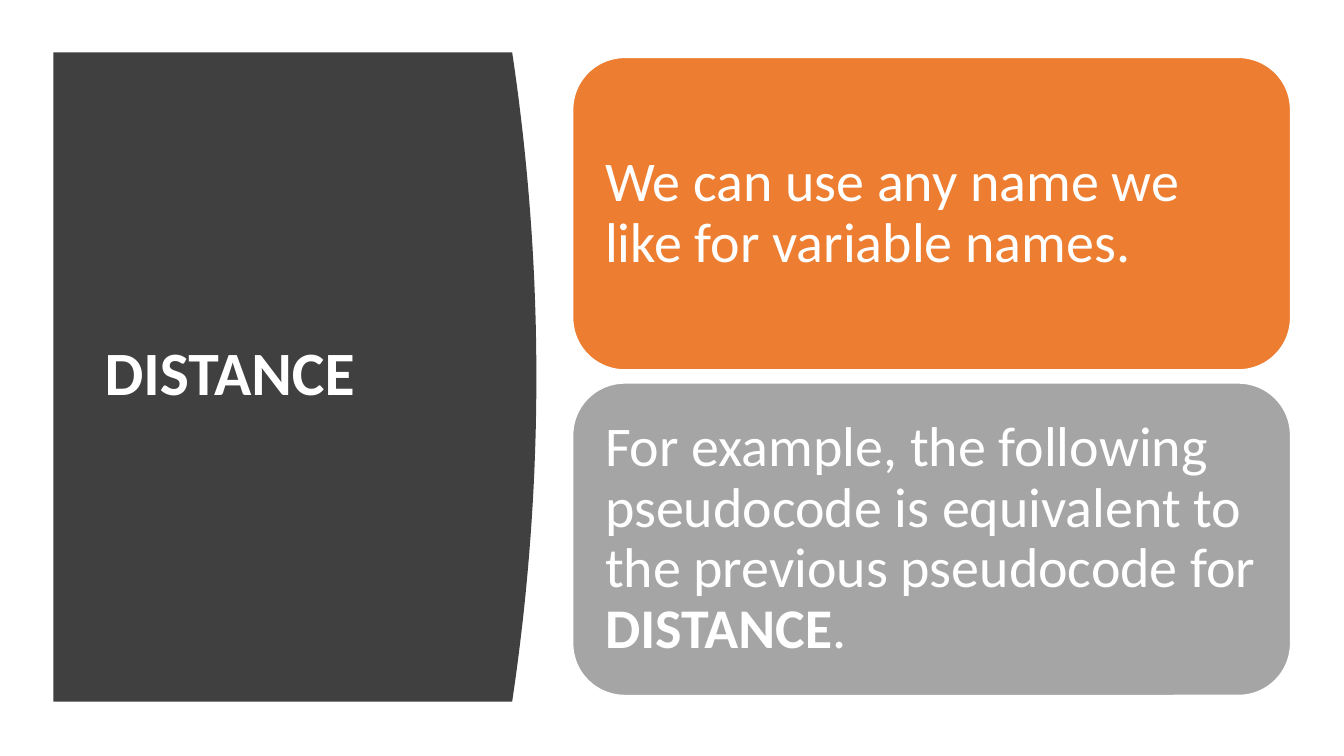
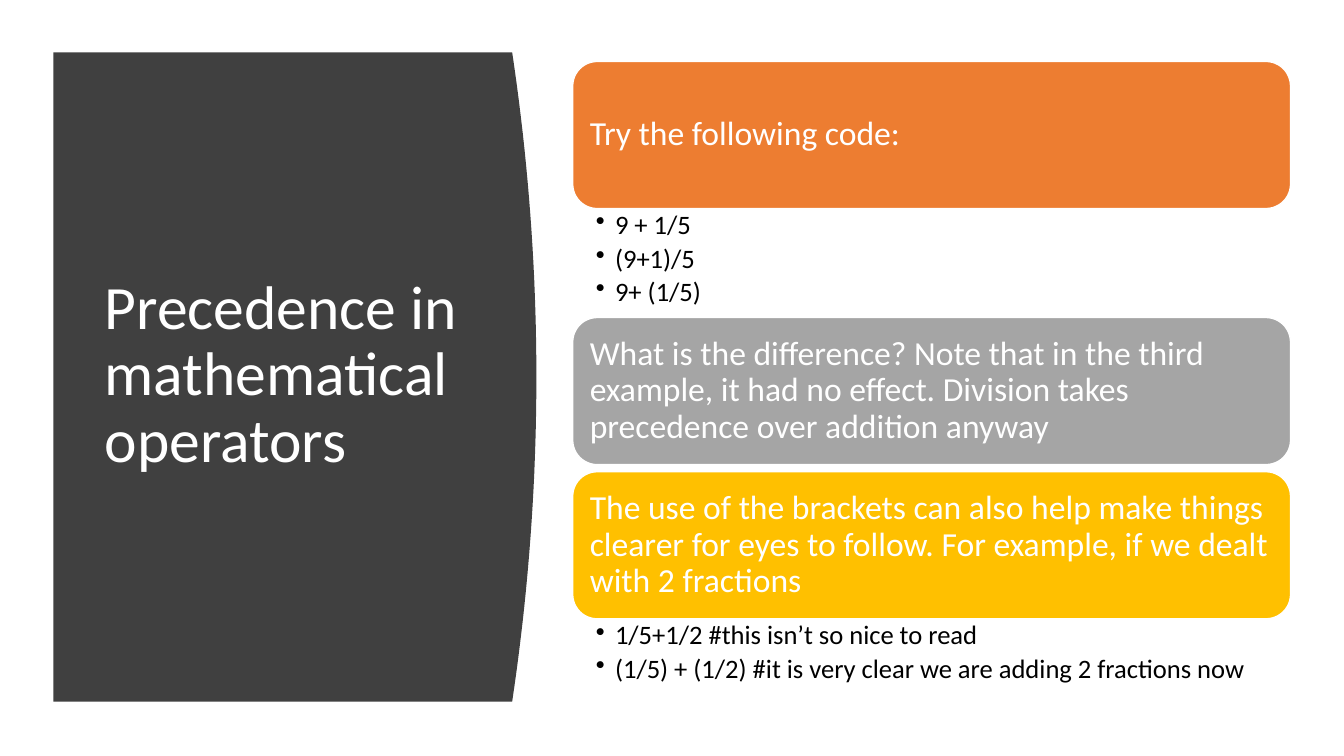
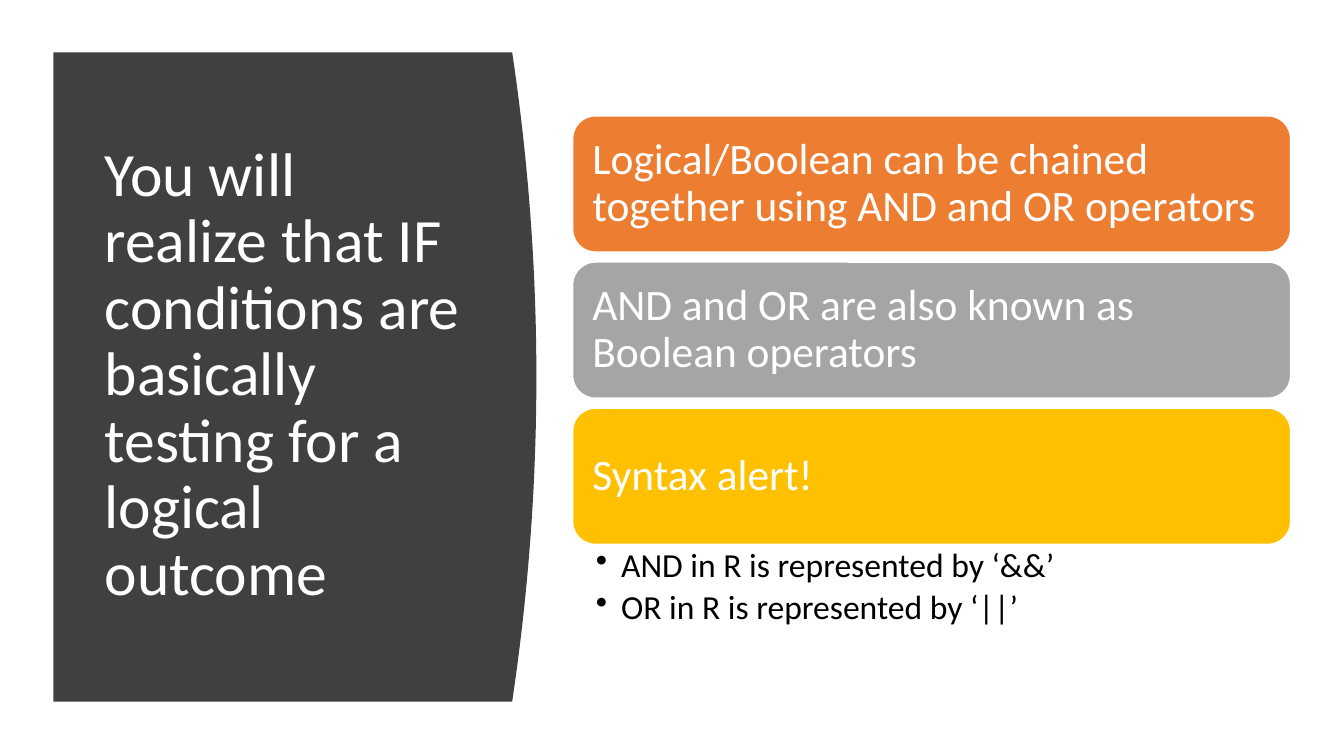
from dataclasses import dataclass

import lxml.etree
import pptx
import pptx.dml.color
import pptx.enum.shapes
import pptx.enum.text
import pptx.oxml.ns
import pptx.presentation
import pptx.shapes.base
import pptx.slide
import pptx.text.text
import pptx.util

Inches = pptx.util.Inches
Pt = pptx.util.Pt
RGB = pptx.dml.color.RGBColor
Anchor = pptx.enum.text.MSO_ANCHOR


@dataclass(frozen=True)
class Theme:
    font: str = "Calibri"
    panel: RGB = RGB(0x40, 0x40, 0x40)
    light: RGB = RGB(0xFF, 0xFF, 0xFF)
    dark: RGB = RGB(0x00, 0x00, 0x00)
    accents: tuple[RGB, ...] = (
        RGB(0xED, 0x7D, 0x31),
        RGB(0xA5, 0xA5, 0xA5),
        RGB(0xFF, 0xC0, 0x00),
    )
    title_size: int = 44
    large_card: int = 40
    medium_card: int = 31
    small_card: int = 24
    medium_bullet: int = 24
    small_bullet: int = 19
    line_spacing: float = 0.9
    bullet_gap: float = 0.18  # share of the type size


@dataclass(frozen=True)
class Phrase:
    text: str
    bold: bool = False


@dataclass(frozen=True)
class Card:
    phrases: tuple[Phrase, ...]
    bullets: tuple[str, ...] = ()
    bullets_height: float = 0


@dataclass(frozen=True)
class CardStyle:
    """Measures of one card column, in inches and points."""
    top: float
    height: float
    gap: float
    inset: float
    size: int
    bullet_size: int = 0
    bullet_indent: float = 0
    bullet_inset: float = 0


@dataclass(frozen=True)
class Topic:
    title: Phrase
    style: CardStyle
    cards: tuple[Card, ...]


THEME = Theme()
CARD_LEFT, CARD_WIDTH = 5.68, 7.12
PANEL_LEFT, PANEL_TOP, PANEL_HEIGHT = 0.53, 0.52, 6.44
PANEL_EDGE, PANEL_BULGE, PANEL_STEPS = 5.08, 0.24, 40

TOPICS = (
    Topic(
        Phrase("DISTANCE", bold=True),
        CardStyle(top=0.57, height=3.1, gap=0.13, inset=0.17, size=THEME.large_card),
        (
            Card((Phrase("We can use any name we like for variable names."),)),
            Card((
                Phrase("For example, the following pseudocode is equivalent to "
                       "the previous pseudocode for "),
                Phrase("DISTANCE", bold=True),
                Phrase("."),
            )),
        ),
    ),
    Topic(
        Phrase("Precedence in mathematical operators"),
        CardStyle(top=0.61, height=1.46, gap=0.07, inset=0.1, size=THEME.small_card,
                  bullet_size=THEME.small_bullet, bullet_indent=0.19, bullet_inset=0.03),
        (
            Card((Phrase("Try the following code:"),),
                 ("9 + 1/5", "(9+1)/5", "9+ (1/5)"), 1.08),
            Card((Phrase("What is the difference? Note that in the third example, it had "
                         "no effect. Division takes precedence over addition anyway"),)),
            Card((Phrase("The use of the brackets can also help make things clearer for "
                         "eyes to follow. For example, if we dealt with 2 fractions"),),
                 ("1/5+1/2 #this isn’t so nice to read",
                  "(1/5) + (1/2) #it is very clear we are adding 2 fractions now"), 0.72),
        ),
    ),
    Topic(
        Phrase("You will realize that IF conditions are basically testing for a "
               "logical outcome"),
        CardStyle(top=1.15, height=1.35, gap=0.1, inset=0.13, size=THEME.medium_card,
                  bullet_size=THEME.medium_bullet, bullet_indent=0.25, bullet_inset=0.04),
        (
            Card((Phrase("Logical/Boolean can be chained together using AND and OR "
                         "operators"),)),
            Card((Phrase("AND and OR are also known as Boolean operators"),)),
            Card((Phrase("Syntax alert!"),),
                 ("AND in R is represented by ‘&&’", "OR in R is represented by ‘||’"),
                 0.91),
        ),
    ),
)


def set_frame(frame: pptx.text.text.TextFrame, anchor: Anchor,
              left: float, top: float, right: float, bottom: float) -> None:
    """Turn wrapping on and set the anchor and the insets."""
    frame.word_wrap = True
    frame.vertical_anchor = anchor
    frame.margin_left, frame.margin_top = Inches(left), Inches(top)
    frame.margin_right, frame.margin_bottom = Inches(right), Inches(bottom)


def write_phrases(paragraph: "pptx.text.text._Paragraph", phrases: tuple[Phrase, ...],
                  size: int, color: RGB) -> None:
    paragraph.alignment = pptx.enum.text.PP_ALIGN.LEFT
    paragraph.line_spacing = THEME.line_spacing
    for phrase in phrases:
        run = paragraph.add_run()
        run.text = phrase.text
        run.font.name = THEME.font
        run.font.size = Pt(size)
        run.font.bold = phrase.bold
        run.font.color.rgb = color


def draw_panel(slide: pptx.slide.Slide) -> None:
    """Draw the dark panel whose right side bulges as a parabola."""
    curve = []
    for step in range(PANEL_STEPS + 1):
        share = step / PANEL_STEPS
        x = PANEL_EDGE + PANEL_BULGE * (1 - (2 * share - 1) ** 2)
        curve.append((Inches(x), Inches(PANEL_TOP + PANEL_HEIGHT * share)))
    bottom_left = (Inches(PANEL_LEFT), Inches(PANEL_TOP + PANEL_HEIGHT))
    outline = slide.shapes.build_freeform(Inches(PANEL_LEFT), Inches(PANEL_TOP))
    outline.add_line_segments([*curve, bottom_left], close=True)
    panel = outline.convert_to_shape()
    panel.shadow.inherit = False
    panel.fill.solid()
    panel.fill.fore_color.rgb = THEME.panel
    panel.line.fill.background()


def draw_title(slide: pptx.slide.Slide, title: Phrase) -> None:
    heading = slide.shapes.add_textbox(Inches(0.94), Inches(1.11), Inches(3.74), Inches(5.24))
    set_frame(heading.text_frame, Anchor.MIDDLE, 0.1, 0.05, 0.1, 0.05)
    write_phrases(heading.text_frame.paragraphs[0], (title,), THEME.title_size, THEME.light)


def draw_card(slide: pptx.slide.Slide, card: Card, style: CardStyle,
              top: float, accent: RGB) -> None:
    box = slide.shapes.add_shape(
        pptx.enum.shapes.MSO_SHAPE.ROUNDED_RECTANGLE,
        Inches(CARD_LEFT), Inches(top), Inches(CARD_WIDTH), Inches(style.height))
    box.shadow.inherit = False
    box.fill.solid()
    box.fill.fore_color.rgb = accent
    box.line.color.rgb = THEME.light
    box.line.width = Pt(1)
    set_frame(box.text_frame, Anchor.MIDDLE, *[style.inset] * 4)
    write_phrases(box.text_frame.paragraphs[0], card.phrases, style.size, THEME.light)


def draw_bullets(slide: pptx.slide.Slide, card: Card, style: CardStyle, top: float) -> None:
    examples = slide.shapes.add_textbox(
        Inches(CARD_LEFT), Inches(top), Inches(CARD_WIDTH), Inches(card.bullets_height))
    frame = examples.text_frame
    set_frame(frame, Anchor.TOP, 0.23, style.bullet_inset, style.bullet_indent,
              style.bullet_inset)
    for index, bullet in enumerate(card.bullets):
        paragraph = frame.add_paragraph() if index else frame.paragraphs[0]
        properties = paragraph._p.get_or_add_pPr()
        properties.set("marL", str(Inches(style.bullet_indent)))
        properties.set("indent", str(-Inches(style.bullet_indent)))
        mark = lxml.etree.SubElement(properties, pptx.oxml.ns.qn("a:buChar"))
        mark.set("char", "•")
        paragraph.space_after = Pt(style.bullet_size * THEME.bullet_gap)
        write_phrases(paragraph, (Phrase(bullet),), style.bullet_size, THEME.dark)


def draw_topic(deck: pptx.presentation.Presentation, topic: Topic) -> None:
    slide = deck.slides.add_slide(deck.slide_layouts[6])
    draw_panel(slide)
    draw_title(slide, topic.title)
    top = topic.style.top
    for card, accent in zip(topic.cards, THEME.accents):
        draw_card(slide, card, topic.style, top, accent)
        top += topic.style.height
        if card.bullets:
            draw_bullets(slide, card, topic.style, top)
            top += card.bullets_height
        else:
            top += topic.style.gap


def main() -> None:
    deck = pptx.Presentation()
    deck.slide_width, deck.slide_height = Inches(13.33), Inches(7.5)
    for topic in TOPICS:
        draw_topic(deck, topic)
    deck.save("out.pptx")


if __name__ == "__main__":
    main()
